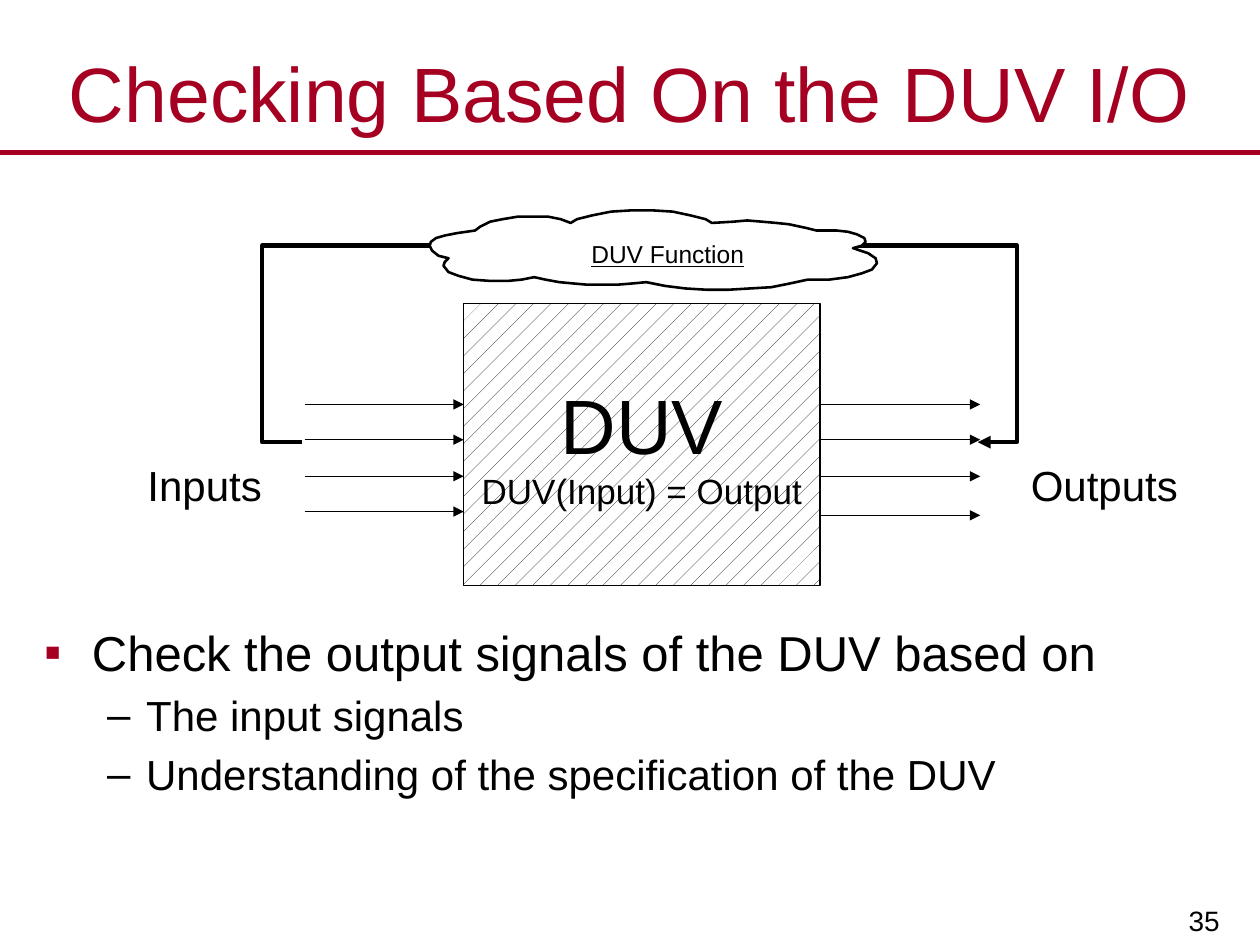
import pptx
import pptx.util
import pptx.dml.color
import pptx.enum.dml
import pptx.enum.shapes
import pptx.enum.text
import pptx.oxml.ns
import lxml.etree

Inches = pptx.util.Inches
Pt = pptx.util.Pt
RGBColor = pptx.dml.color.RGBColor
Align = pptx.enum.text.PP_ALIGN
Anchor = pptx.enum.text.MSO_ANCHOR
qn = pptx.oxml.ns.qn

RED = RGBColor(0xA5, 0x00, 0x21)
BLACK = RGBColor(0, 0, 0)
WHITE = RGBColor(255, 255, 255)
FONT = "Arial"

BRACKET = [(2.4, 3.51), (2.08, 3.51), (2.08, 1.95), (8.07, 1.95),
           (8.07, 3.51), (7.76, 3.51)]

# One row per lobe, counter-clockwise from the upper left
CLOUD_LOBES = [
    [(3.77, 1.83), (3.63, 1.85), (3.53, 1.87), (3.46, 1.89), (3.42, 1.92),
     (3.41, 1.95), (3.43, 1.99), (3.48, 2.03), (3.56, 2.05)],
    [(3.53, 2.08), (3.52, 2.11), (3.56, 2.16), (3.64, 2.19), (3.75, 2.22),
     (3.89, 2.23), (4.03, 2.23), (4.14, 2.22), (4.24, 2.2)],
    [(4.33, 2.22), (4.44, 2.24), (4.55, 2.25), (4.66, 2.26), (4.78, 2.26),
     (4.9, 2.26), (5.02, 2.25), (5.13, 2.24)],
    [(5.28, 2.27), (5.44, 2.29), (5.61, 2.3), (5.78, 2.3), (5.95, 2.29),
     (6.12, 2.28), (6.27, 2.25), (6.41, 2.22)],
    [(6.58, 2.22), (6.73, 2.2), (6.84, 2.17), (6.92, 2.14), (6.96, 2.09),
     (6.95, 2.05), (6.89, 2.01), (6.77, 1.97)],
    [(6.84, 1.95), (6.87, 1.92), (6.86, 1.89), (6.8, 1.86), (6.73, 1.84),
     (6.64, 1.83), (6.48, 1.83)],
    [(6.4, 1.81), (6.26, 1.78), (6.16, 1.77), (6.05, 1.76), (5.93, 1.75),
     (5.82, 1.76), (5.65, 1.77)],
    [(5.6, 1.74), (5.48, 1.71), (5.34, 1.68), (5.18, 1.67), (5.01, 1.67),
     (4.85, 1.68), (4.7, 1.71), (4.58, 1.74), (4.53, 1.77)],
    [(4.45, 1.74), (4.35, 1.72), (4.23, 1.72), (4.11, 1.72), (3.99, 1.74),
     (3.89, 1.76), (3.81, 1.8)],
]


def add_span(para, text, size, color=BLACK, underline=None):
    """Add one formatted run to a paragraph."""
    span = para.add_run()
    span.text = text
    span.font.name = FONT
    span.font.size = Pt(size)
    span.font.color.rgb = color
    span.font.underline = underline


def place(box, left, top, width, height):
    """Move and size a shape, in inches."""
    box.left, box.top = Inches(left), Inches(top)
    box.width, box.height = Inches(width), Inches(height)


def add_label(page, area, text, size, align=Align.CENTER, anchor=Anchor.TOP,
              margins=(0.1, 0.05), underline=None):
    """Add a text box holding one line."""
    box = page.shapes.add_textbox(*[Inches(value) for value in area])
    frame = box.text_frame
    frame.word_wrap = True
    frame.vertical_anchor = anchor
    frame.margin_left = frame.margin_right = Inches(margins[0])
    frame.margin_top = frame.margin_bottom = Inches(margins[1])
    para = frame.paragraphs[0]
    para.alignment = align
    add_span(para, text, size, underline=underline)


def style_line(shape, width, color=BLACK, arrow=False):
    """Set the outline, with an arrowhead at the end if wanted."""
    shape.line.width = Pt(width)
    shape.line.color.rgb = color
    if arrow:
        line = shape.line._get_or_add_ln()
        lxml.etree.SubElement(line, qn("a:tailEnd"), type="triangle")


def add_line(page, start, end, width, color=BLACK, arrow=False):
    """Add a straight line without a shadow."""
    line = page.shapes.add_connector(
        pptx.enum.shapes.MSO_CONNECTOR.STRAIGHT,
        *[Inches(value) for value in start + end])
    style_line(line, width, color, arrow)
    lxml.etree.SubElement(line._element.spPr, qn("a:effectLst"))


def add_outline(page, points, width, closed=False, arrow=False):
    """Add a freeform: white if closed, unfilled if open."""
    corners = [(Inches(x), Inches(y)) for x, y in points]
    builder = page.shapes.build_freeform(*corners[0])
    builder.add_line_segments(corners[1:], close=closed)
    shape = builder.convert_to_shape()
    shape.shadow.inherit = False
    if closed:
        shape.fill.solid()
        shape.fill.fore_color.rgb = WHITE
    else:
        shape.fill.background()
    style_line(shape, width, arrow=arrow)


def add_duv_block(page):
    """Add the patterned block with its two lines of text."""
    block = page.shapes.add_shape(
        pptx.enum.shapes.MSO_SHAPE.RECTANGLE,
        Inches(3.68), Inches(2.41), Inches(2.83), Inches(2.24))
    block.shadow.inherit = False
    block.fill.patterned()
    block.fill.pattern = pptx.enum.dml.MSO_PATTERN.PERCENT_5
    block.fill.fore_color.rgb = BLACK
    block.fill.back_color.rgb = WHITE
    style_line(block, 0.75)
    frame = block.text_frame
    frame.word_wrap = False
    frame.vertical_anchor = Anchor.MIDDLE
    first, second = frame.paragraphs[0], frame.add_paragraph()
    for para, text, size in ((first, "DUV", 44),
                             (second, "DUV(Input) = Output", 20)):
        para.alignment = Align.CENTER
        add_span(para, text, size)


def add_bullet(para, text, level):
    """Fill a list paragraph with its bullet, indent and text."""
    indent, hanging, size, mark, color = (
        (0.38, 0.38, 28, "▪", RED), (0.81, 0.31, 24, "–", BLACK))[level]
    para.level = level
    properties = para._p.get_or_add_pPr()
    properties.set("marL", str(Inches(indent)))
    properties.set("indent", str(-Inches(hanging)))
    bullet_color = lxml.etree.SubElement(properties, qn("a:buClr"))
    lxml.etree.SubElement(bullet_color, qn("a:srgbClr"), val=str(color))
    lxml.etree.SubElement(properties, qn("a:buFont"), typeface=FONT)
    lxml.etree.SubElement(properties, qn("a:buChar"), char=mark)
    add_span(para, text, size)


def fill_placeholders(page):
    """Place and fill the title and the list."""
    title, body = page.shapes.title, page.placeholders[1]
    place(title, 0, 0.3, 10, 0.86)
    place(body, 0.25, 4.89, 9.31, 1.92)
    for box in (title, body):
        box.text_frame.auto_size = pptx.enum.text.MSO_AUTO_SIZE.NONE
    title.text_frame.vertical_anchor = Anchor.MIDDLE
    heading = title.text_frame.paragraphs[0]
    heading.alignment = Align.CENTER
    add_span(heading, "Checking Based On the DUV I/O", 44, RED)

    frame = body.text_frame
    add_bullet(frame.paragraphs[0],
               "Check the output signals of the DUV based on", 0)
    for text in ("The input signals",
                 "Understanding of the specification of the DUV"):
        add_bullet(frame.add_paragraph(), text, 1)


def main():
    """Build the slide and save it."""
    deck = pptx.Presentation()
    deck.slide_width, deck.slide_height = Inches(10), Inches(7.5)
    page = deck.slides.add_slide(deck.slide_layouts[1])

    add_line(page, (0, 1.21), (10, 1.21), 3, RED)
    add_label(page, (7.8, 6.93, 1.99, 0.57), "35", 16, Align.RIGHT,
              Anchor.BOTTOM, (0.11, 0.06))
    fill_placeholders(page)

    add_outline(page, BRACKET, 2.48, arrow=True)
    add_duv_block(page)
    for left, heights in ((2.42, (3.21, 3.49, 3.78, 4.06)),
                          (6.52, (3.21, 3.49, 3.78, 4.09))):
        for height in heights:
            add_line(page, (left, height), (left + 1.26, height), 0.75,
                     arrow=True)
    cloud = [point for lobe in CLOUD_LOBES for point in lobe]
    add_outline(page, cloud, 1.48, closed=True)
    add_label(page, (3.85, 1.86, 2.9, 0.31), "DUV Function", 14,
              anchor=Anchor.MIDDLE, margins=(0, 0), underline=True)
    add_label(page, (1.01, 3.6, 1.23, 0.5), "Inputs", 24)
    add_label(page, (8.05, 3.6, 1.43, 0.5), "Outputs", 24)
    deck.save("out.pptx")


main()
